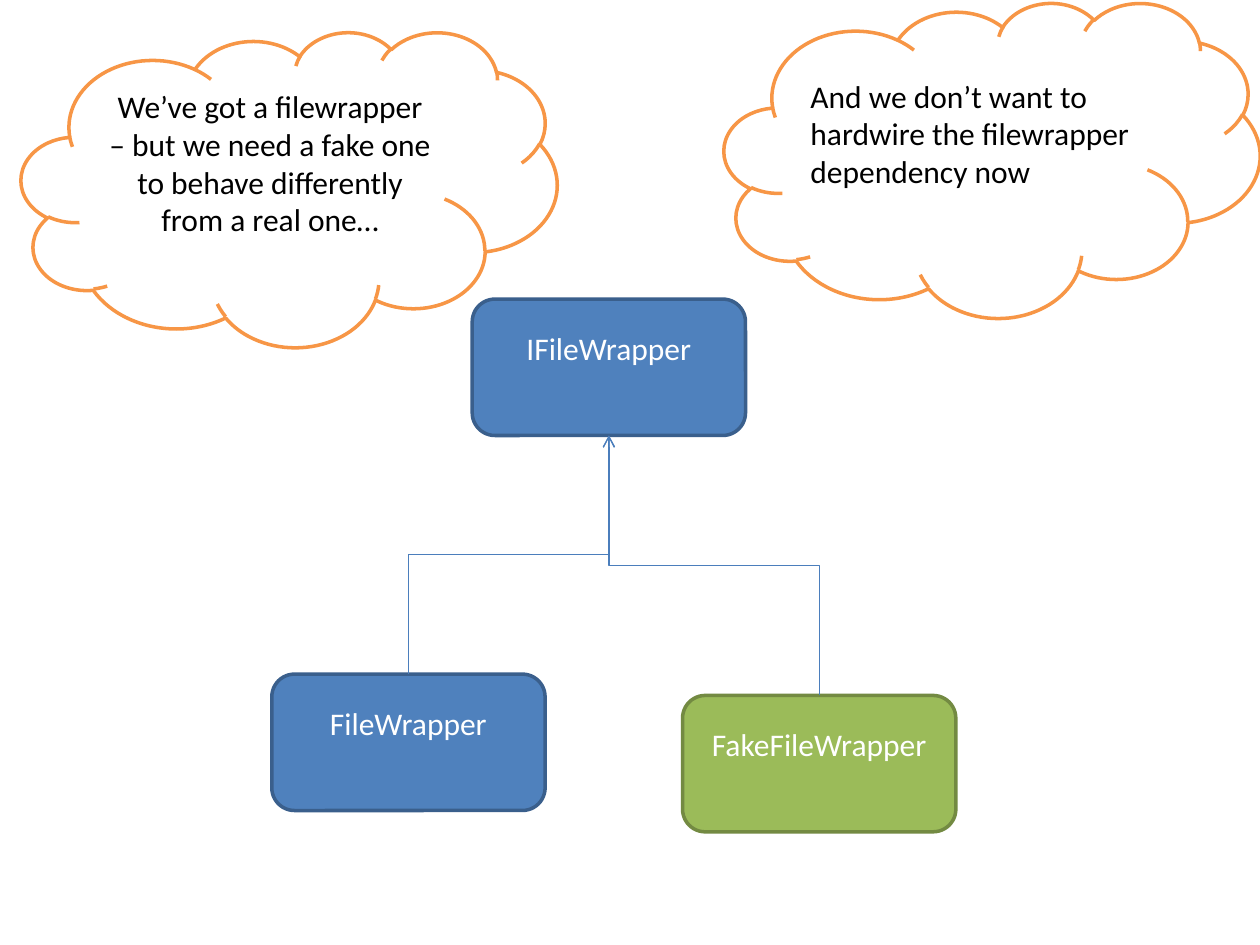
from lxml.etree import SubElement
from pptx import Presentation
from pptx.dml.color import RGBColor
from pptx.enum.shapes import MSO_CONNECTOR as Link, MSO_SHAPE as Shape
from pptx.enum.text import MSO_ANCHOR as Anchor, PP_ALIGN as Align
from pptx.oxml.ns import qn
from pptx.util import Cm, Pt

BLUE, BLUE_EDGE = "4F81BD", "3A5F8C"
GREEN, GREEN_EDGE = "9BBB59", "738A42"
ORANGE, WHITE, BLACK = "F79646", "FFFFFF", "000000"


def color(hex_code):
    return RGBColor.from_string(hex_code)


def add_block(slide, kind, left, top, width, height, text, fill, edge, ink, align):
    block = slide.shapes.add_shape(kind, Cm(left), Cm(top), Cm(width), Cm(height))
    block.shadow.inherit = False
    block.fill.solid()
    block.fill.fore_color.rgb = color(fill)
    block.line.color.rgb = color(edge)
    block.line.width = Pt(2)
    frame = block.text_frame
    frame.text = text
    frame.word_wrap = True
    frame.vertical_anchor = Anchor.MIDDLE
    frame.margin_bottom = Cm(0.9)
    label = frame.paragraphs[0]
    label.alignment = align
    font = label.runs[0].font
    font.name = "Calibri"
    font.size = Pt(18)
    font.color.rgb = color(ink)
    return block


def add_thought(slide, left, top, text, align):
    return add_block(slide, Shape.CLOUD, left, top, 10.8, 6.35, text,
                     WHITE, ORANGE, BLACK, align)


def add_class(slide, left, top, name, fill=BLUE, edge=BLUE_EDGE):
    return add_block(slide, Shape.ROUNDED_RECTANGLE, left, top, 5.51, 2.75, name,
                     fill, edge, WHITE, Align.CENTER)


def add_inheritance(slide, child, parent):
    start_x, start_y = child.left + child.width // 2, child.top
    end_x, end_y = parent.left + parent.width // 2, parent.top + parent.height
    arrow = slide.shapes.add_connector(Link.ELBOW, start_x, start_y, end_x, end_y)
    arrow.begin_connect(child, 0)
    arrow.end_connect(parent, 2)

    # 
    rise, run = start_y - end_y, abs(end_x - start_x)
    arrow.left = (start_x + end_x - rise) // 2
    arrow.top = (start_y + end_y - run) // 2
    arrow.width, arrow.height = rise, run
    properties = arrow._element.spPr
    placement = properties.find(qn("a:xfrm"))
    placement.set("rot", str(270 * 60000))
    placement.set("flipH", "0")
    placement.set("flipV", "1" if start_x > end_x else "0")

    arrow.line.color.rgb = color("4B7EBC")
    arrow.line.width = Pt(0.75)
    SubElement(properties.find(qn("a:ln")), qn("a:tailEnd"), type="arrow")
    SubElement(properties, qn("a:effectLst"))


def main():
    deck = Presentation()
    deck.slide_width, deck.slide_height = Cm(25.4), Cm(19.05)
    slide = deck.slides.add_slide(deck.slide_layouts[6])

    add_thought(slide, 0.43, 0.64,
                "We’ve got a filewrapper – but we need a fake one to behave "
                "differently from a real one…", Align.CENTER)
    interface = add_class(slide, 9.52, 6.03, "IFileWrapper")
    real = add_class(slide, 5.48, 13.59, "FileWrapper")
    fake = add_class(slide, 13.76, 14.02, "FakeFileWrapper", GREEN, GREEN_EDGE)
    for wrapper in (fake, real):
        add_inheritance(slide, wrapper, interface)
    add_thought(slide, 14.6, 0.05,
                "And we don’t want to hardwire the filewrapper dependency now",
                Align.LEFT)

    deck.save("out.pptx")


if __name__ == "__main__":
    main()
